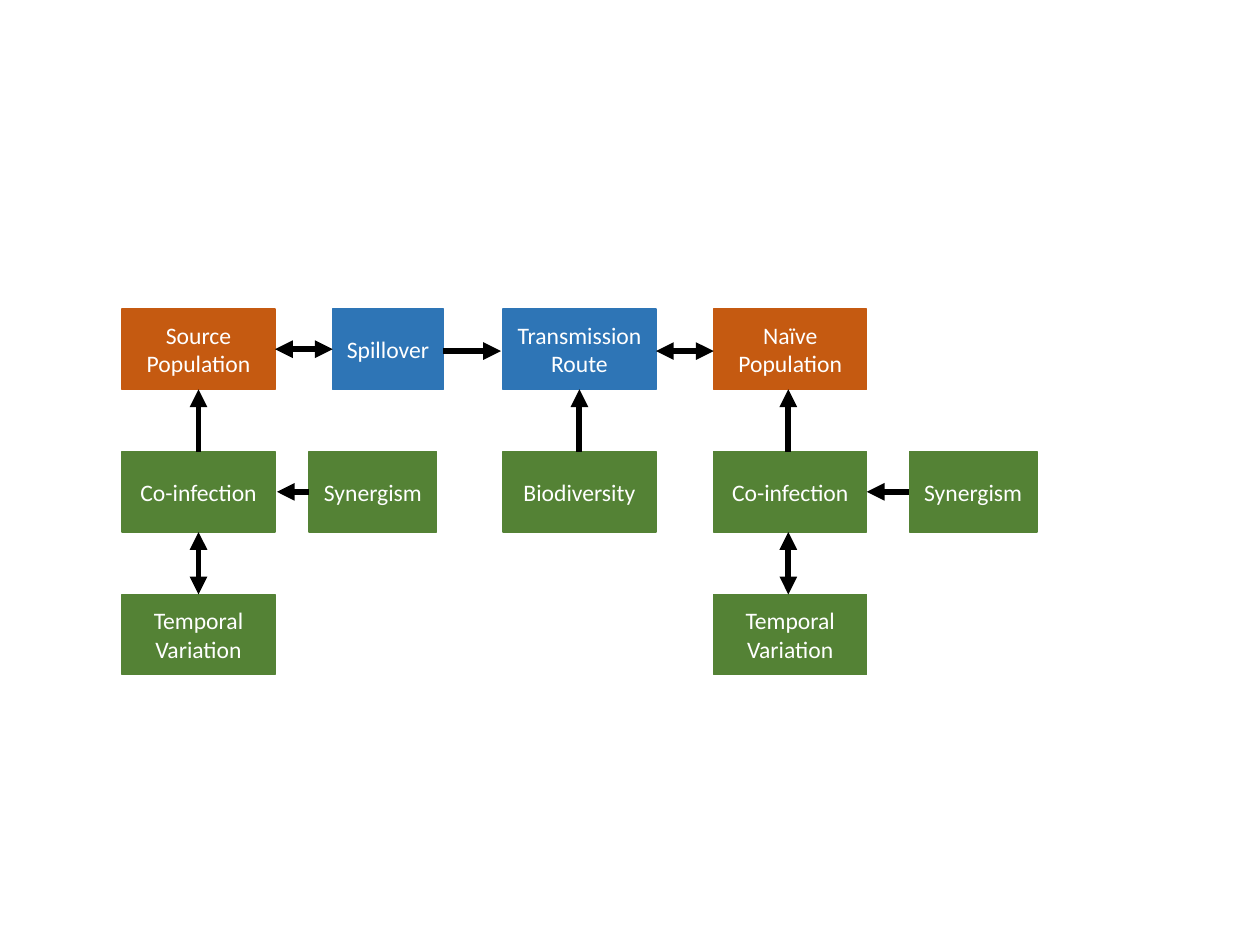
from dataclasses import dataclass

from lxml import etree
from pptx import Presentation
from pptx import util as u
from pptx.dml.color import RGBColor
from pptx.enum import shapes, text
from pptx.oxml import ns


@dataclass(frozen=True)
class Theme:
    population: str = "C55A11"
    pathway: str = "2E75B6"
    factor: str = "548235"
    label: str = "FFFFFF"
    arrow: str = "000000"
    font: str = "Calibri"
    label_size: float = 18
    outline: float = 1
    arrow_width: float = 4.5


@dataclass(frozen=True)
class Box:
    left: float
    top: float
    width: float
    height: float

    @property
    def right(self):
        return self.left + self.width

    @property
    def bottom(self):
        return self.top + self.height

    @property
    def center(self):
        return self.left + self.width / 2

    @property
    def middle(self):
        return self.top + self.height / 2


THEME = Theme()
SLIDE_WIDTH, SLIDE_HEIGHT = 13.33, 10
TOP, ROW_PITCH, BOX_HEIGHT = 3.27, 1.51, 0.85
MAIN_WIDTH, SPILLOVER_WIDTH, SYNERGISM_WIDTH = 1.62, 1.17, 1.35
GAP = 0.61
SOURCE_LEFT, ROUTE_LEFT, NAIVE_LEFT = 1.29, 5.32, 7.55


def cell(left, row, width=MAIN_WIDTH):
    return Box(left, TOP + row * ROW_PITCH, width, BOX_HEIGHT)


def add_node(page, box, label, color):
    node = page.shapes.add_shape(
        shapes.MSO_SHAPE.RECTANGLE,
        *(u.Inches(size) for size in (box.left, box.top, box.width, box.height)))
    node.shadow.inherit = False
    node.fill.solid()
    node.fill.fore_color.rgb = RGBColor.from_string(color)
    node.line.color.rgb = RGBColor.from_string(color)
    node.line.width = u.Pt(THEME.outline)
    frame = node.text_frame
    frame.word_wrap = True
    frame.vertical_anchor = text.MSO_ANCHOR.MIDDLE
    frame.text = label
    para = frame.paragraphs[0]
    para.alignment = text.PP_ALIGN.CENTER
    font = para.runs[0].font
    font.name = THEME.font
    font.size = u.Pt(THEME.label_size)
    font.color.rgb = RGBColor.from_string(THEME.label)
    return box


def add_arrow(page, start, end, both=False):
    """Draw an arrow to end, with a second head at start when both is true."""
    arrow = page.shapes.add_connector(
        shapes.MSO_CONNECTOR.STRAIGHT, *(u.Inches(size) for size in (*start, *end)))
    arrow.line.color.rgb = RGBColor.from_string(THEME.arrow)
    arrow.line.width = u.Pt(THEME.arrow_width)
    outline = arrow.line._get_or_add_ln()
    for tag in ("a:headEnd", "a:tailEnd") if both else ("a:tailEnd",):
        etree.SubElement(outline, ns.qn(tag), type="triangle")
    etree.SubElement(arrow._element.spPr, ns.qn("a:effectLst"))


def add_population(page, box, label, synergism_left, arrow_shift=0, tip_gap=0):
    """Stack a population over its factors, with synergism on the right."""
    add_node(page, box, label, THEME.population)
    infection = add_node(page, cell(box.left, 1), "Co-infection", THEME.factor)
    variation = add_node(page, cell(box.left, 2), "Temporal Variation", THEME.factor)
    synergism = add_node(page, cell(synergism_left, 1, SYNERGISM_WIDTH),
                         "Synergism", THEME.factor)
    axis = box.center + arrow_shift
    add_arrow(page, (axis, infection.top), (axis, box.bottom))
    add_arrow(page, (axis, infection.bottom), (axis, variation.top), both=True)
    add_arrow(page, (synergism.left, synergism.middle),
              (infection.right + tip_gap, infection.middle))


def add_pathway(page, source, route, naive):
    """Link the two populations through spillover and the transmission route."""
    spillover = add_node(page, cell(source.right + GAP, 0, SPILLOVER_WIDTH),
                         "Spillover", THEME.pathway)
    add_node(page, route, "Transmission Route", THEME.pathway)
    diversity = add_node(page, cell(route.left, 1), "Biodiversity", THEME.factor)
    add_arrow(page, (diversity.center, diversity.top), (route.center, route.bottom))
    level = route.middle + 0.02
    add_arrow(page, (source.right, source.middle),
              (spillover.left, spillover.middle), both=True)
    add_arrow(page, (spillover.right, level), (route.left - 0.02, level))
    add_arrow(page, (route.right, level), (naive.left, level), both=True)


def main():
    deck = Presentation()
    deck.slide_width = u.Inches(SLIDE_WIDTH)
    deck.slide_height = u.Inches(SLIDE_HEIGHT)
    page = deck.slides.add_slide(deck.slide_layouts[6])
    source, route, naive = (cell(left, 0)
                            for left in (SOURCE_LEFT, ROUTE_LEFT, NAIVE_LEFT))
    add_population(page, source, "Source Population", 3.27, tip_gap=0.02)
    add_population(page, naive, "Naïve Population", 9.62, arrow_shift=-0.02)
    add_pathway(page, source, route, naive)
    deck.save("out.pptx")


if __name__ == "__main__":
    main()
